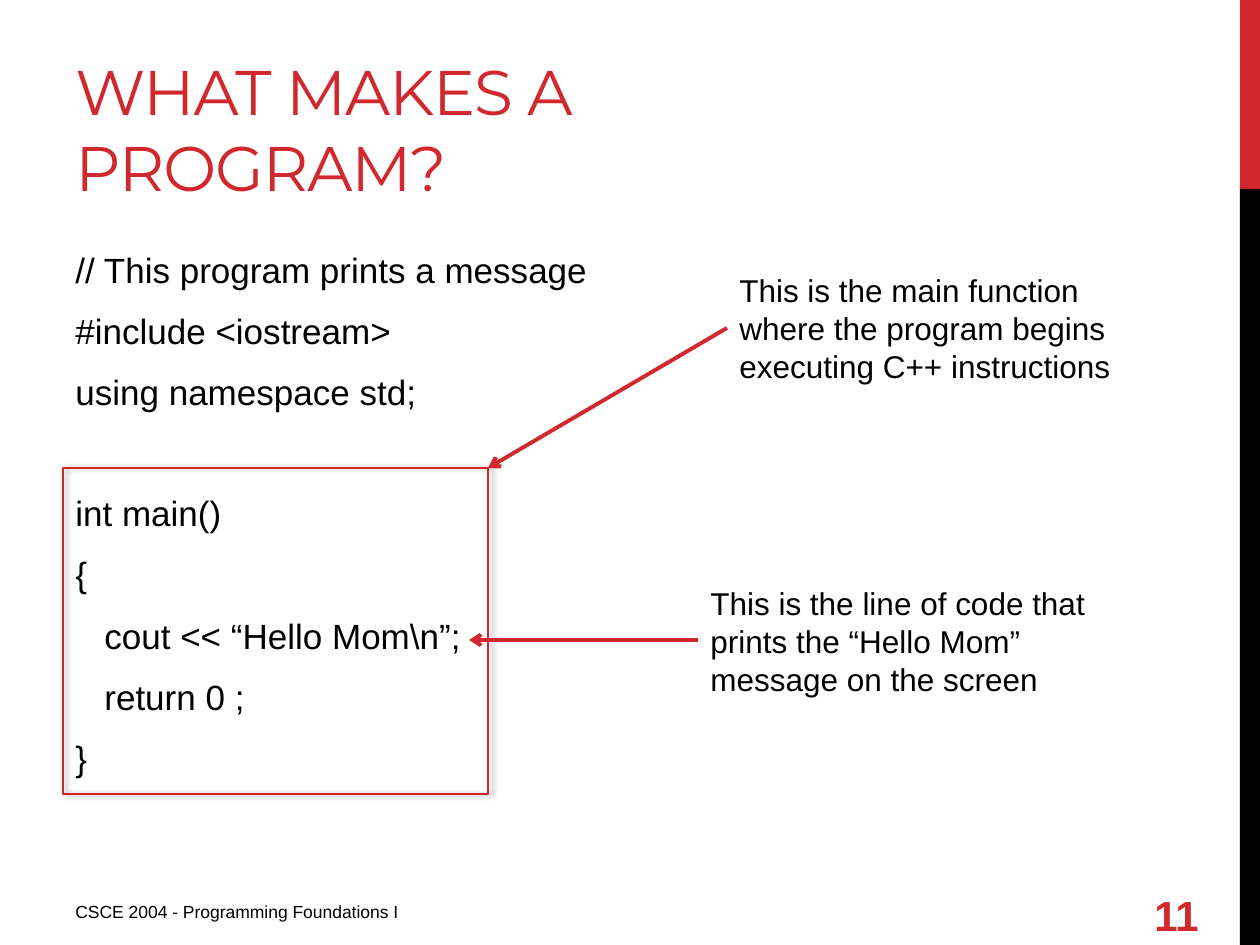
"""Build the slide that explains the parts of a small C++ program."""
from lxml import etree
from pptx import Presentation
from pptx import util as u
from pptx.dml import color
from pptx.enum import shapes, text
from pptx.oxml import ns

SCALE = 914400 // 126
RED, BLACK = "D1282E", "000000"
BARS = [((1240, 0, 20, 189), RED), ((1240, 189, 20, 756), BLACK)]
TITLE = "WHAT MAKES A PROGRAM?"
CODE = [
    ("// This program prints a message", 0, 5),
    ("#include <iostream>", 0, 5),
    ("using namespace std;", 0, 5),
    ("int main()", 0, 39),
    ("{", 0, 5),
    ("cout << “Hello Mom\\n”;", 29, 5),
    ("return 0 ;", 29, 5),
    ("}", 0, 5),
]
FRAME = (63, 468, 425, 326)
LABELS = [
    ("CSCE 2004 - Programming Foundations I", (63, 895, 473, 39), 10),
    ("This is the main function where the program begins executing C++ instructions",
     (727, 265, 415, 127), 18),
    ("This is the line of code that prints the “Hello Mom” message on the screen",
     (698, 578, 415, 127), 18),
]
ARROWS = [((727, 328), (488, 468)), ((698, 640), (469, 640))]


def px(*vals):
    return [u.Emu(v * SCALE) for v in vals]


def rgb(code):
    return color.RGBColor.from_string(code)


def add(parent, tag, **attrs):
    return etree.SubElement(parent, ns.qn(tag), attrs)


def rect(box):
    shape = slide.shapes.add_shape(shapes.MSO_SHAPE.RECTANGLE, *px(*box))
    shape.shadow.inherit = False
    return shape


def label(lines, box, size, tint=BLACK, font="Arial", anchor=text.MSO_ANCHOR.TOP):
    frame = slide.shapes.add_textbox(*px(*box)).text_frame
    frame.word_wrap = True
    frame.vertical_anchor = anchor
    frame.text = "\n".join(lines)
    for para in frame.paragraphs:
        face = para.runs[0].font
        face.name, face.size = font, u.Pt(size)
        face.color.rgb = rgb(tint)
    return frame


deck = Presentation()
deck.slide_width, deck.slide_height = px(1260, 945)
slide = deck.slides.add_slide(deck.slide_layouts[6])

for box, tint in BARS:
    bar = rect(box)
    bar.fill.solid()
    bar.fill.fore_color.rgb = rgb(tint)
    bar.line.fill.background()

title = label([TITLE], (63, 21, 798, 189), 36, RED, "Montserrat", text.MSO_ANCHOR.BOTTOM)
title.paragraphs[0].runs[0].font._element.set("spc", "-60")

code = label([row[0] for row in CODE], (63, 242, 1050, 602), 20)
for para, (_, indent, before) in zip(code.paragraphs, CODE):
    para.space_before, para.space_after = u.Pt(before), u.Pt(6)
    para._p.get_or_add_pPr().set("marL", str(indent * SCALE))

for words, box, size in LABELS:
    label([words], box, size)
number = label(["11"], (1142, 890, 93, 50), 24, RED, anchor=text.MSO_ANCHOR.MIDDLE)
number.paragraphs[0].runs[0].font.bold = True

frame = rect(FRAME)
frame.fill.background()
frame.line.color.rgb, frame.line.width = rgb(RED), u.Pt(1)
glow = add(frame._element.spPr.find(ns.qn("a:effectLst")), "a:outerShdw",
           blurRad=str(u.Pt(3.1)), dist=str(u.Pt(1.8)), dir="0")
add(add(glow, "a:srgbClr", val=BLACK), "a:alpha", val="40000")

for start, end in ARROWS:
    arrow = slide.shapes.add_connector(shapes.MSO_CONNECTOR.STRAIGHT, *px(*start, *end))
    arrow.line.color.rgb, arrow.line.width = rgb(RED), u.Pt(2.25)
    add(arrow.line._get_or_add_ln(), "a:tailEnd", type="arrow")
    add(arrow._element.spPr, "a:effectLst")

deck.save("out.pptx")
